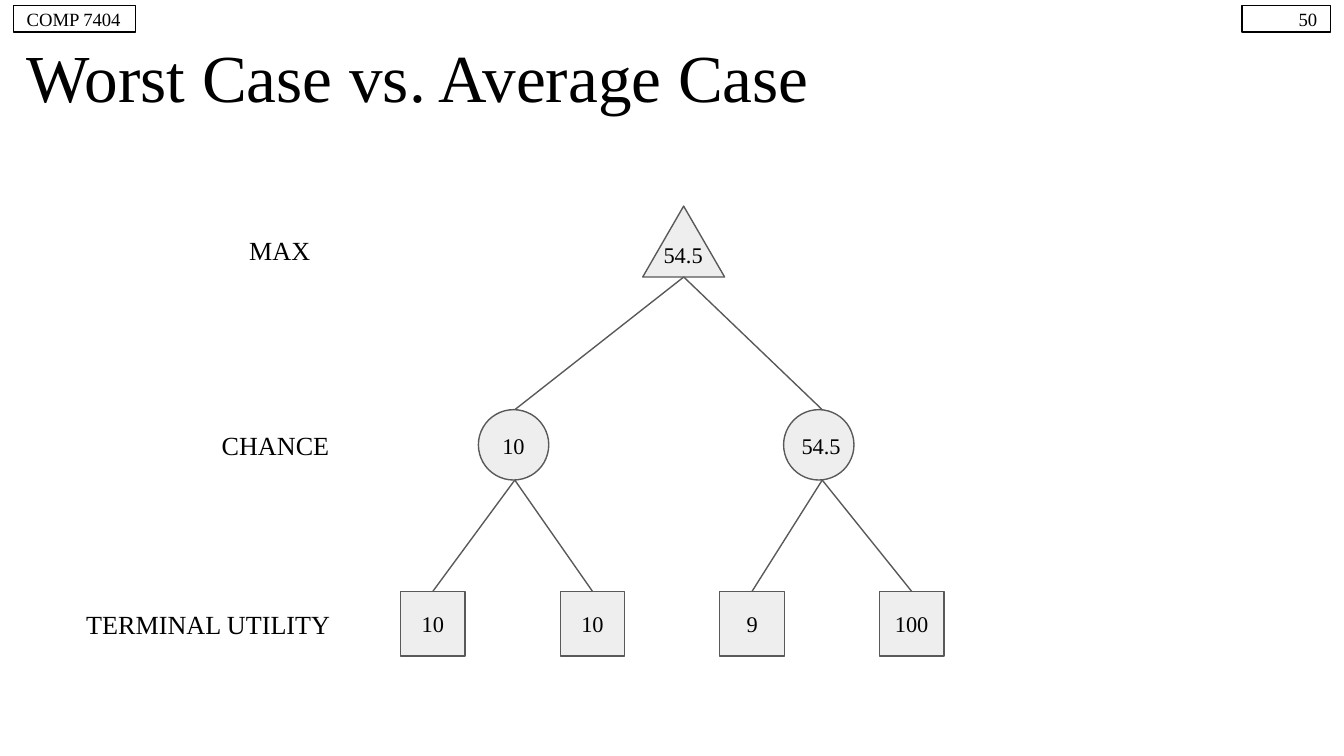
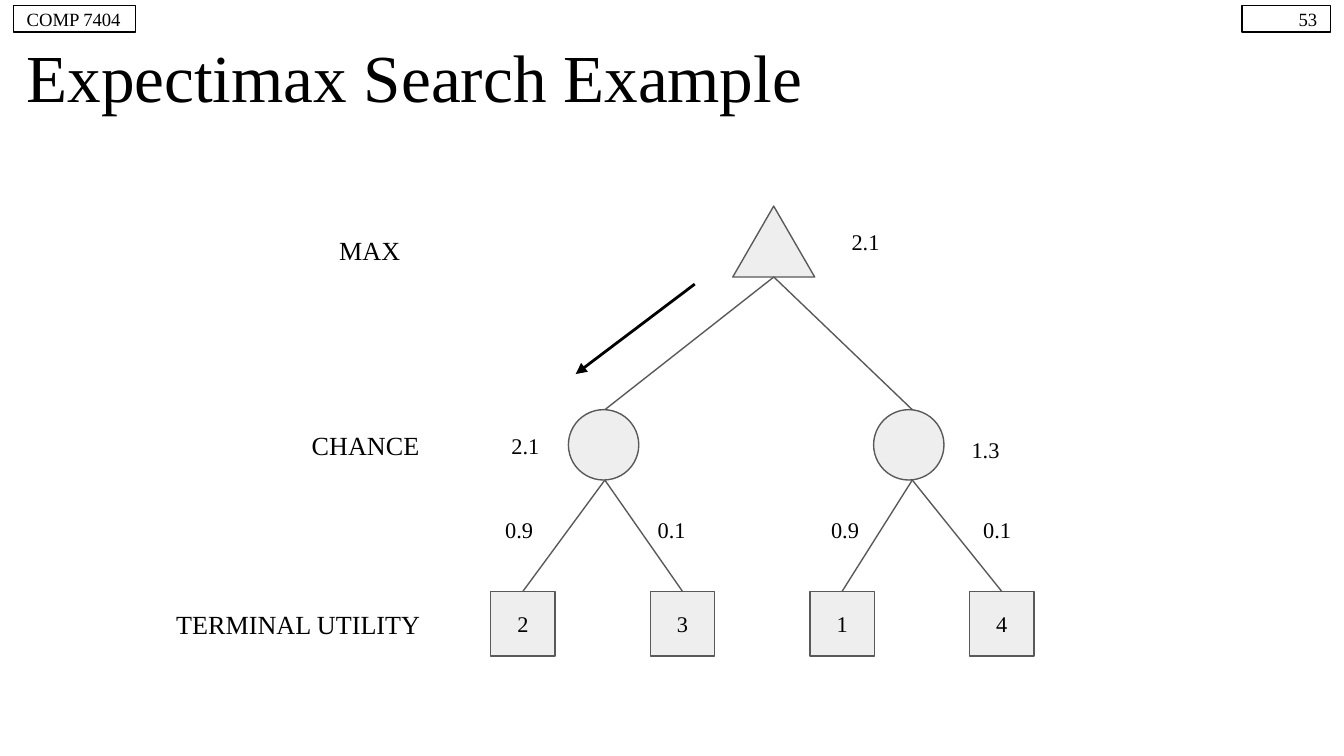
from lxml import etree
from pptx import Presentation
from pptx.dml.color import RGBColor
from pptx.enum.shapes import MSO_CONNECTOR, MSO_SHAPE
from pptx.enum.text import MSO_ANCHOR, PP_ALIGN
from pptx.oxml.ns import qn
from pptx.util import Pt

BLACK = RGBColor(0x00, 0x00, 0x00)
NODE_FILL = RGBColor(0xEE, 0xEE, 0xEE)
NODE_LINE = RGBColor(0x59, 0x59, 0x59)
FONT = "Times New Roman"

LEFT, CENTER, RIGHT = PP_ALIGN.LEFT, PP_ALIGN.CENTER, PP_ALIGN.RIGHT
MIDDLE = MSO_ANCHOR.MIDDLE
RECTANGLE, OVAL = MSO_SHAPE.RECTANGLE, MSO_SHAPE.OVAL
TRIANGLE = MSO_SHAPE.ISOSCELES_TRIANGLE
STRAIGHT = MSO_CONNECTOR.STRAIGHT

COURSE = "COMP 7404"
TREE_SHIFT = 48.24
ROOT_BASE = (366.3, 148.4)
CHANCE_TOP, CHANCE_SIZE = 219.5, 37.7
CHANCE_NODES = ((256.3, 275.8), (419.8, 440.5))
LEAF_LEFT, LEAF_TOP, LEAF_SIZE, LEAF_PITCH = 214.6, 316.8, 34.6, 85.5
ROW_LABELS = (
    ("MAX", 125.3, 115.9, 49),
    ("CHANCE", 104.4, 220.3, 86.4),
    ("TERMINAL UTILITY", 33.1, 316.1, 157),
)


def write(shape, text, size=12, align=CENTER, side_inset=7.2):
    frame = shape.text_frame
    frame.word_wrap = True
    frame.vertical_anchor = MIDDLE
    frame.margin_left = frame.margin_right = Pt(side_inset)
    frame.margin_top = frame.margin_bottom = Pt(7.2)
    paragraph = frame.paragraphs[0]
    paragraph.alignment = align
    run = paragraph.add_run()
    run.text = text
    run.font.name = FONT
    run.font.size = Pt(size)
    run.font.color.rgb = BLACK


class Deck:
    def __init__(self):
        self.presentation = Presentation()
        self.presentation.slide_width = Pt(720)
        self.presentation.slide_height = Pt(405)
        self.slide = None

    def start_slide(self, title, number):
        blank = self.presentation.slide_layouts[6]
        self.slide = self.presentation.slides.add_slide(blank)
        self.text(title, 7.2, 20.2, 705.6, 41, size=36, align=LEFT)
        for label, left, width, align in (
            (number, 665.3, 47.5, RIGHT),
            (COURSE, 7.2, 65.5, LEFT),
        ):
            corner = self.shape(RECTANGLE, left, 2.9, width, 14.4,
                                fill=None, line=BLACK)
            write(corner, label, size=10, align=align)

    def text(self, text, left, top, width, height, **style):
        box = self.slide.shapes.add_textbox(Pt(left), Pt(top), Pt(width), Pt(height))
        write(box, text, **style)

    def value(self, text, left, top):
        self.text(text, left, top, 37.4, 23.8)

    def shape(self, kind, left, top, width, height, fill=NODE_FILL, line=NODE_LINE):
        shape = self.slide.shapes.add_shape(kind, Pt(left), Pt(top), Pt(width), Pt(height))
        shape.shadow.inherit = False
        if fill is None:
            shape.fill.background()
        else:
            shape.fill.solid()
            shape.fill.fore_color.rgb = fill
        shape.line.color.rgb = line
        shape.line.width = Pt(0.75)
        return shape

    def connect(self, start, end, color=NODE_LINE, width=0.75, arrow=False):
        connector = self.slide.shapes.add_connector(
            STRAIGHT, *(Pt(length) for length in (*start, *end)))
        connector.line.color.rgb = color
        connector.line.width = Pt(width)
        properties = connector._element.spPr
        if arrow:
            outline = properties.find(qn("a:ln"))
            etree.SubElement(outline, qn("a:tailEnd"), type="triangle")
        etree.SubElement(properties, qn("a:effectLst"))
        return connector

    def tree(self, utilities, shift=0):
        root_x, root_bottom = ROOT_BASE
        root_base = (root_x + shift, root_bottom)
        self.shape(TRIANGLE, 344.3 + shift, 110.4, 43.9, 38)

        leaves = []
        for index, utility in enumerate(utilities):
            left = LEAF_LEFT + index * LEAF_PITCH + shift
            leaf = self.shape(RECTANGLE, left, LEAF_TOP, LEAF_SIZE, LEAF_SIZE)
            write(leaf, utility, side_inset=0.72)
            leaves.append((leaf, (left + LEAF_SIZE / 2, LEAF_TOP)))

        for index, (left, branch_x) in enumerate(CHANCE_NODES):
            branch_x += shift
            self.connect((branch_x, CHANCE_TOP), root_base)
            chance_base = (branch_x, CHANCE_TOP + CHANCE_SIZE)
            for leaf, leaf_top in leaves[2 * index:2 * index + 2]:
                self.connect(chance_base, leaf_top).end_connect(leaf, 0)
            self.shape(OVAL, left + shift, CHANCE_TOP, CHANCE_SIZE, CHANCE_SIZE)

        for label, left, top, width in ROW_LABELS:
            self.text(label, left + shift, top, width, 36, size=14)


def main():
    deck = Deck()

    deck.start_slide("Worst Case vs. Average Case", "50")
    deck.tree(("10", "10", "9", "100"))
    deck.value("10", 256.4, 226.8)
    deck.value("54.5", 421.2, 226.8)
    deck.value("54.5", 347.3, 124.6)

    deck.start_slide("Expectimax Search Example", "53")
    deck.tree(("2", "3", "1", "4"), shift=TREE_SHIFT)
    for probability, left in (("0.9", 259.4), ("0.1", 341.1),
                              ("0.9", 434), ("0.1", 515.5)):
        deck.value(probability, left, 271.6)
    deck.value("2.1", 262.8, 226.8)
    deck.value("1.3", 509.3, 229.2)
    deck.value("2.1", 445, 117.6)
    deck.connect((372.2, 152.2), (308.4, 200.4), color=BLACK, width=1.5, arrow=True)

    deck.presentation.save("out.pptx")


if __name__ == "__main__":
    main()
